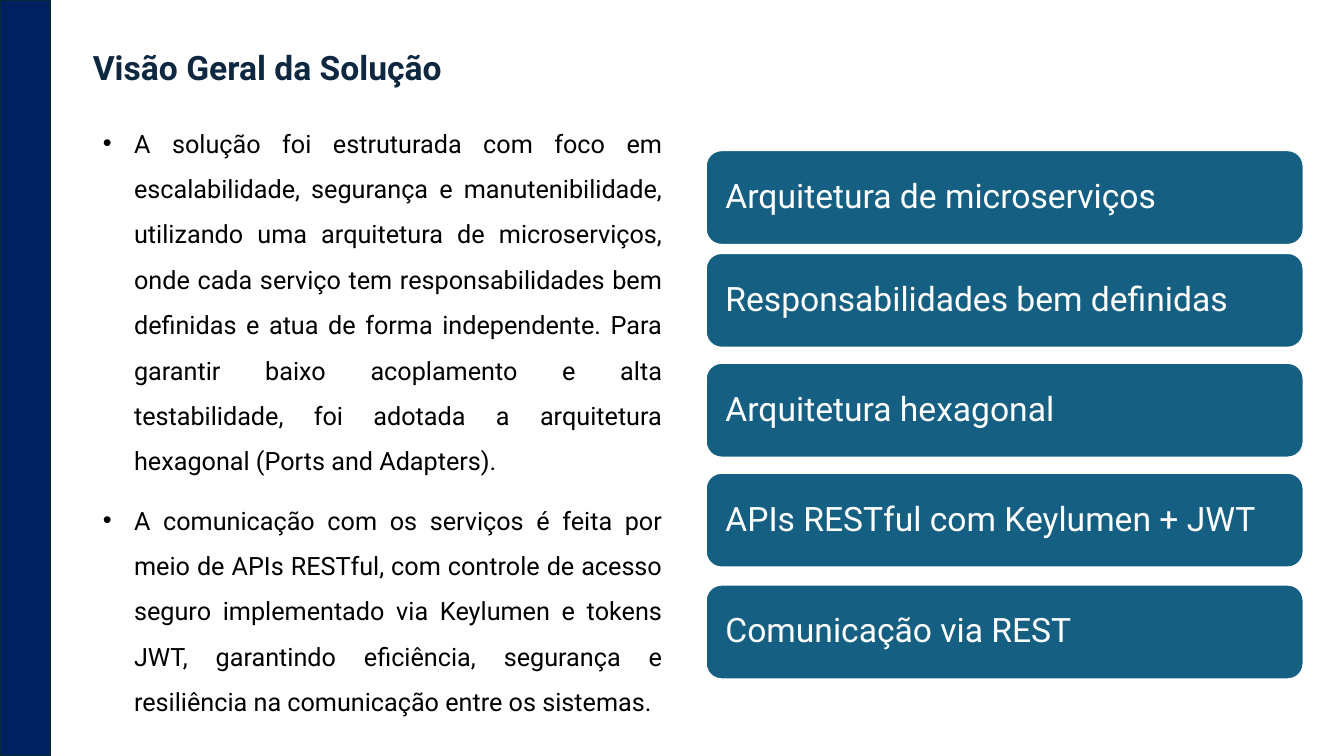
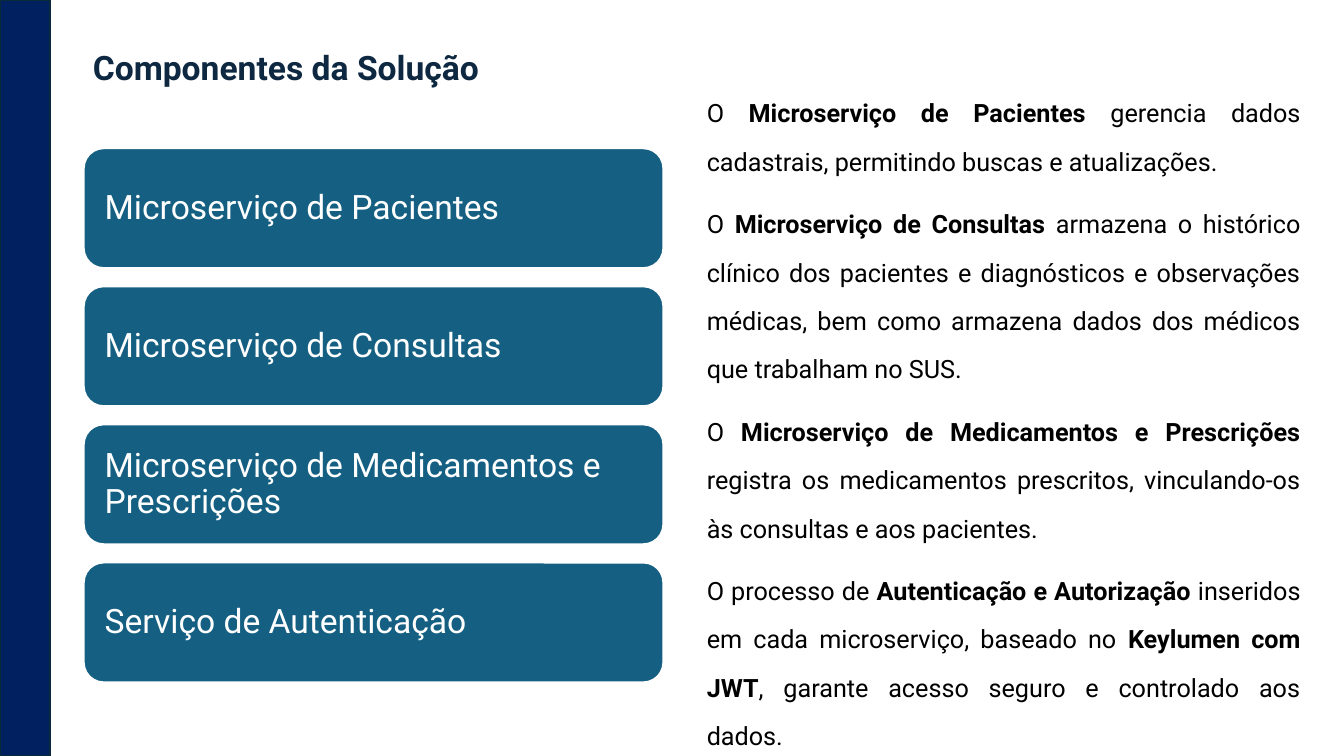
"""Build two slides that present a microservice solution and its components."""
from lxml import etree
from pptx import Presentation
from pptx.dml.color import RGBColor
from pptx.enum.shapes import MSO_SHAPE
from pptx.enum.text import MSO_ANCHOR, MSO_AUTO_SIZE, PP_ALIGN
from pptx.oxml.ns import qn
from pptx.util import Inches, Pt

RECTANGLE, ROUNDED = MSO_SHAPE.RECTANGLE, MSO_SHAPE.ROUNDED_RECTANGLE
TOP, MIDDLE, BOTTOM = MSO_ANCHOR.TOP, MSO_ANCHOR.MIDDLE, MSO_ANCHOR.BOTTOM
LEFT, JUSTIFY = PP_ALIGN.LEFT, PP_ALIGN.JUSTIFY
NO_FIT = MSO_AUTO_SIZE.NONE

COLORS = {
    "band": "002060",
    "band_edge": "092A39",
    "title": "0E2841",
    "text": "000000",
    "card": "156082",
    "white": "FFFFFF",
}
FONT = "Roboto"
TITLE_BOX = (0.82, 0, 6.3, 0.92)
TITLE_STYLE = {
    "frame": {"vertical_anchor": BOTTOM},
    "para": {"alignment": LEFT, "line_spacing": 0.9, "space_after": Pt(6)},
    "font": {"size": Pt(24), "bold": True},
    "color": "title",
}
BODY_STYLE = {
    "frame": {"vertical_anchor": TOP},
    "para": {"alignment": JUSTIFY, "space_before": Pt(10)},
    "font": {"size": Pt(18)},
    "color": "text",
}
CARD_STYLE = {
    "frame": {"vertical_anchor": MIDDLE, "margin_left": Inches(0.15),
              "margin_right": Inches(0.15)},
    "para": {"alignment": LEFT, "line_spacing": 0.9},
    "font": {"size": Pt(24)},
    "color": "white",
}

OVERVIEW = [
    "A solução foi estruturada com foco em escalabilidade, segurança e "
    "manutenibilidade, utilizando uma arquitetura de microserviços, onde cada "
    "serviço tem responsabilidades bem definidas e atua de forma independente. "
    "Para garantir baixo acoplamento e alta testabilidade, foi adotada a "
    "arquitetura hexagonal (Ports and Adapters).",
    "A comunicação com os serviços é feita por meio de APIs RESTful, com "
    "controle de acesso seguro implementado via Keylumen e tokens JWT, "
    "garantindo eficiência, segurança e resiliência na comunicação entre os "
    "sistemas.",
]
PRINCIPLES = [
    "Arquitetura de microserviços",
    "Responsabilidades bem definidas",
    "Arquitetura hexagonal",
    "APIs RESTful com Keylumen + JWT",
    "Comunicação via REST",
]
PRINCIPLE_TOPS = [1.49, 2.51, 3.6, 4.69, 5.8]
COMPONENTS = [
    "Microserviço de Pacientes",
    "Microserviço de Consultas",
    "Microserviço de Medicamentos e Prescrições",
    "Serviço de Autenticação",
]
COMPONENT_TOPS = [1.47 + 1.37 * row for row in range(len(COMPONENTS))]
DETAILS = [
    "O **Microserviço de Pacientes** gerencia dados cadastrais, permitindo "
    "buscas e atualizações.",
    "O **Microserviço de Consultas** armazena o histórico clínico dos pacientes "
    "e diagnósticos e observações médicas, bem como armazena dados dos médicos "
    "que trabalham no SUS.",
    "O **Microserviço de Medicamentos e Prescrições** registra os medicamentos "
    "prescritos, vinculando-os às consultas e aos pacientes.",
    "O processo de **Autenticação e Autorização** inseridos em cada "
    "microserviço, baseado no **Keylumen com JWT**, garante acesso seguro e "
    "controlado aos dados.",
]


def color(name):
    return RGBColor.from_string(COLORS[name])


def apply(target, values):
    for name, value in values.items():
        setattr(target, name, value)


def place(shape, box):
    sides = ("left", "top", "width", "height")
    apply(shape, dict(zip(sides, map(Inches, box))))


def write(shape, texts, style):
    frame = shape.text_frame
    apply(frame, {"word_wrap": True, "auto_size": NO_FIT, **style["frame"]})
    for index, text in enumerate(texts):
        para = frame.add_paragraph() if index else frame.paragraphs[0]
        apply(para, style["para"])
        for part, words in enumerate(text.split("**")):
            span = para.add_run()
            span.text = words
            emphasis = {"bold": part % 2 == 1}
            apply(span.font, {"name": FONT, **emphasis, **style["font"]})
            span.font.color.rgb = color(style["color"])


def add_block(page, kind, box, fill, edge):
    block = page.shapes.add_shape(kind, *map(Inches, box))
    block.shadow.inherit = False
    block.fill.solid()
    block.fill.fore_color.rgb = color(fill)
    block.line.color.rgb = color(edge)
    block.line.width = Pt(1.5)
    return block


def add_layout_band(page):
    band = add_block(page, RECTANGLE, (0, 0, 0.5, 7.5), "band", "band_edge")
    page.slide_layout.shapes._spTree.insert(2, band._element)


def add_page(deck, title):
    page = deck.slides.add_slide(deck.slide_layouts[1])
    place(page.shapes.title, TITLE_BOX)
    write(page.shapes.title, [title], TITLE_STYLE)
    return page


def fill_body(page, box, texts, spacing, indent=0):
    body = page.placeholders[1]
    place(body, box)
    style = {**BODY_STYLE, "para": {**BODY_STYLE["para"], "line_spacing": spacing}}
    write(body, texts, style)
    for para in body.text_frame.paragraphs:
        props = para._p.get_or_add_pPr()
        props.set("marL", str(Inches(indent)))
        props.set("indent", str(-Inches(indent)))
        if not indent:
            etree.SubElement(props, qn("a:buNone"))


def add_cards(page, left, width, height, tops, labels):
    for top, label in zip(tops, labels):
        card = add_block(page, ROUNDED, (left, top, width, height), "card", "white")
        write(card, [label], CARD_STYLE)


def add_overview_page(deck):
    page = add_page(deck, "Visão Geral da Solução")
    add_layout_band(page)
    fill_body(page, (0.92, 1.07, 5.75, 4.79), OVERVIEW, 1.5, indent=0.31)
    add_cards(page, 7, 5.93, 0.94, PRINCIPLE_TOPS, PRINCIPLES)


def add_components_page(deck):
    page = add_page(deck, "Componentes da Solução")
    fill_body(page, (6.91, 0.74, 6.09, 4.17), DETAILS, 1.6)
    add_cards(page, 0.83, 5.75, 1.19, COMPONENT_TOPS, COMPONENTS)


def main():
    deck = Presentation()
    apply(deck, {"slide_width": Inches(13.33), "slide_height": Inches(7.5)})
    add_overview_page(deck)
    add_components_page(deck)
    deck.save("out.pptx")


if __name__ == "__main__":
    main()
